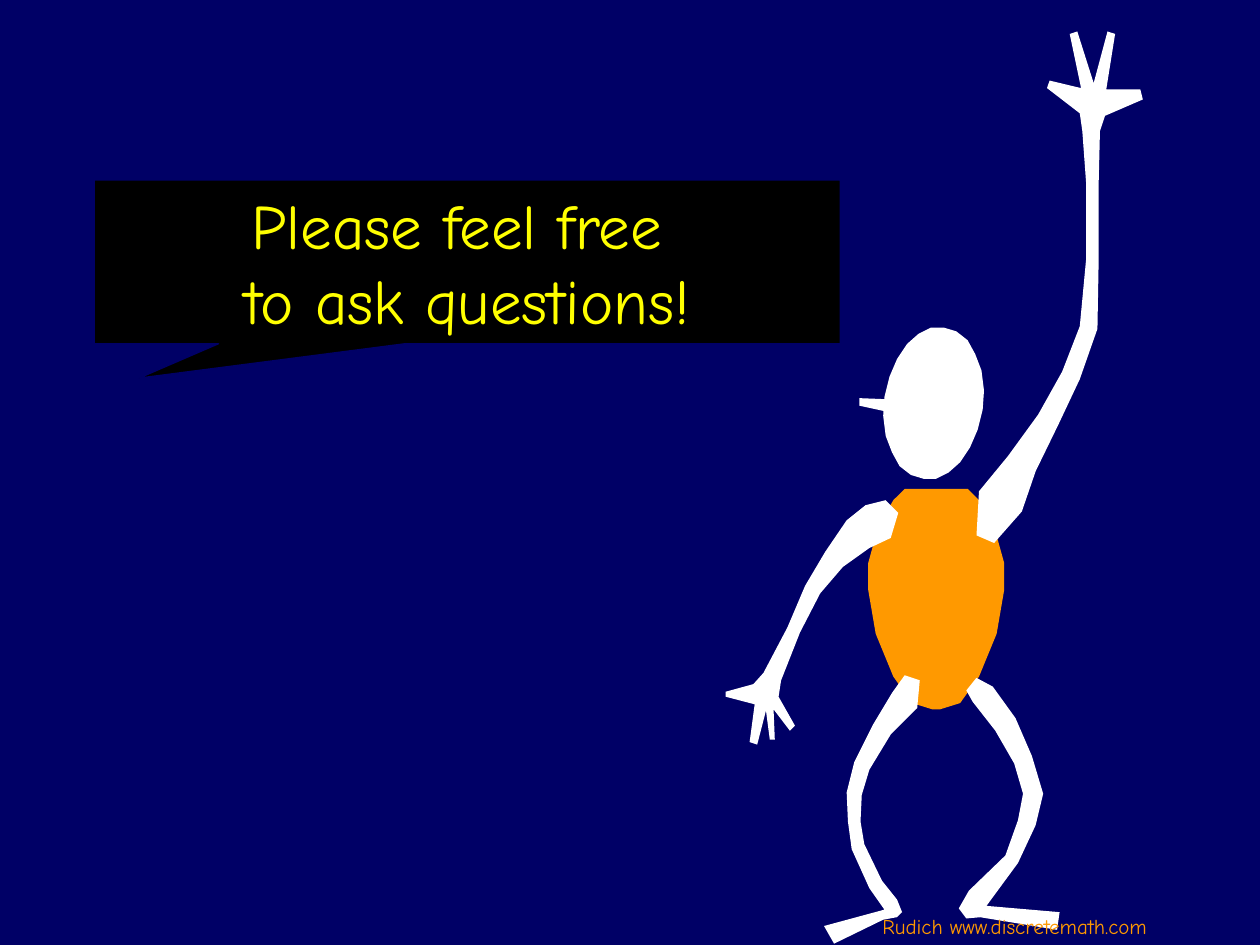
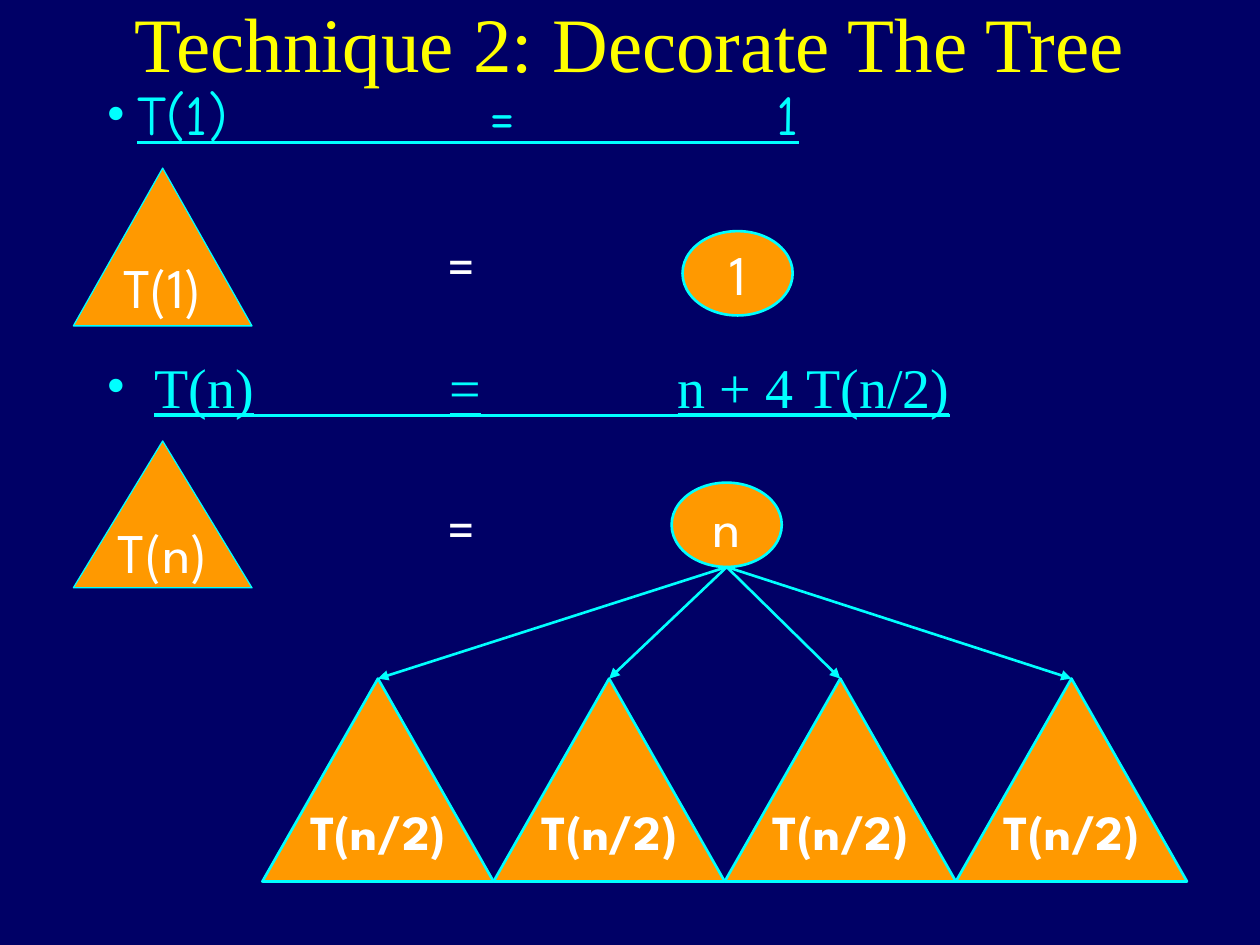
from dataclasses import dataclass
from itertools import pairwise
from math import cos, hypot, radians, sin, tau

from lxml.etree import SubElement
from pptx import Presentation
from pptx.dml.color import RGBColor
from pptx.enum.shapes import MSO_CONNECTOR as Connector, MSO_SHAPE as Shape
from pptx.enum.text import MSO_ANCHOR as Anchor, PP_ALIGN as Align
from pptx.oxml.ns import qn
from pptx.util import Cm, Pt


@dataclass(frozen=True)
class Theme:
    navy: str = "000066"
    black: str = "000000"
    white: str = "FFFFFF"
    yellow: str = "FFFF00"
    cyan: str = "00FFFF"
    orange: str = "FF9900"
    hand: str = "Comic Neue"
    sans: str = "League Spartan"
    serif: str = "Times New Roman"
    title: int = 44
    speech: int = 36
    body: int = 32
    leaf: int = 28
    footer: int = 12
    thin: float = 0.75
    thick: float = 1.5


# Geometry of the figure, on a grid of 1000 by 750 units per slide
def unit(start, end):
    dx, dy = end[0] - start[0], end[1] - start[1]
    length = hypot(dx, dy)
    return dx / length, dy / length


def sides(x, y, width, direction):
    """The two edge points of a strip that runs through x, y."""
    dx, dy = direction
    half = width / 2
    return (x + dy * half, y - dx * half), (x - dy * half, y + dx * half)


def fan(hub, digits, web):
    """Fingers or foot ends spread round a hub, with a web point between two."""
    points = []
    for index, (x, y, width) in enumerate(digits):
        heading = unit(hub, (x, y))
        if index:
            before = unit(hub, digits[index - 1])
            dx, dy = unit((0, 0), (before[0] + heading[0], before[1] + heading[1]))
            points.append((hub[0] + dx * web, hub[1] + dy * web))
        points.extend(sides(x, y, width, heading))
    return points


def limb(joints, hub=None, digits=(), web=0):
    """Outline round a spine of (x, y, width) joints, ending in digits."""
    last = len(joints) - 1
    edges = [sides(*joint, unit(joints[max(i - 1, 0)], joints[min(i + 1, last)]))
             for i, joint in enumerate(joints)]
    outward = [edge[0] for edge in edges]
    back = [edge[1] for edge in reversed(edges)]
    return outward + fan(hub, digits, web) + back


def tilted_oval(x, y, radius_x, radius_y, tilt, corners=24):
    lean = radians(tilt)
    points = []
    for corner in range(corners):
        turn = tau * corner / corners
        across, down = radius_x * cos(turn), radius_y * sin(turn)
        points.append((x + across * cos(lean) - down * sin(lean),
                       y + across * sin(lean) + down * cos(lean)))
    return points


class Painter:
    """Holds the style and the current slide."""

    def __init__(self, deck, theme):
        self.deck, self.theme, self.page = deck, theme, None

    def new_page(self):
        self.page = self.deck.slides.add_slide(self.deck.slide_layouts[6])
        fill = self.page.background.fill
        fill.solid()
        fill.fore_color.rgb = RGBColor.from_string(self.theme.navy)

    def paint(self, shape, color, line=None, width=None):
        shape.shadow.inherit = False
        shape.fill.solid()
        shape.fill.fore_color.rgb = RGBColor.from_string(color)
        if line:
            shape.line.color.rgb = RGBColor.from_string(line)
            shape.line.width = Pt(width)
        else:
            shape.line.fill.background()

    def add_span(self, para, text, font, size, color, bold=False, underline=False):
        span = para.add_run()
        span.text = text
        span.font.name, span.font.size = font, Pt(size)
        span.font.color.rgb = RGBColor.from_string(color)
        span.font.bold, span.font.underline = bold, underline

    def bullet(self, para, char, color, size, stops=()):
        props = para._p.get_or_add_pPr()
        props.set("marL", "0")
        props.set("indent", "0")
        tint = SubElement(props, qn("a:buClr"))
        SubElement(tint, qn("a:srgbClr"), val=color)
        SubElement(props, qn("a:buFont"), typeface=self.theme.serif)
        SubElement(props, qn("a:buChar"), char=char)
        if stops:
            tabs = SubElement(props, qn("a:tabLst"))
            for stop in stops:
                SubElement(tabs, qn("a:tab"), pos=str(Cm(stop)), algn="l")
        para.font.size = Pt(size)

    def text_box(self, left, top, width, height, align=Align.CENTER):
        box = self.page.shapes.add_textbox(Cm(left), Cm(top), Cm(width), Cm(height))
        box.text_frame.word_wrap = True
        para = box.text_frame.paragraphs[0]
        para.alignment = align
        return box.text_frame, para

    def title(self, text):
        frame, para = self.text_box(1.9, 0, 21.6, 1.7)
        frame.vertical_anchor = Anchor.MIDDLE
        self.add_span(para, text, self.theme.serif, self.theme.title, self.theme.yellow)

    def footer(self, text):
        theme = self.theme
        frame, para = self.text_box(15.01, 18.3, 10.39, 0.75)
        frame.margin_left, frame.margin_right = Cm(1.85), Cm(1.45)
        self.bullet(para, " ", theme.orange, theme.footer)
        self.add_span(para, text, theme.hand, theme.footer, theme.orange)

    def equation(self, top, parts, font, stops, rule_end):
        """Bullet line with one part on each tab stop, over a continuous rule."""
        theme, left, inset = self.theme, 1.9, 0.25
        _, para = self.text_box(left, top, 19.68, 2.12, Align.LEFT)
        self.bullet(para, "•", theme.cyan, theme.body, stops)
        for part in parts:
            self.add_span(para, "\t", font, theme.body, theme.cyan)
            self.add_span(para, part, font, theme.body, theme.cyan, underline=True)
        rule_y = top + 1.39
        self.line(left + inset + stops[0], rule_y, rule_end, rule_y)

    def equals(self, top):
        _, para = self.text_box(7.83, top, 2.96, 1.63)
        self.add_span(para, "=", self.theme.sans, self.theme.body, self.theme.white)

    def node(self, kind, left, top, width, height, label, line, size, bold=False):
        theme = self.theme
        node = self.page.shapes.add_shape(kind, Cm(left), Cm(top), Cm(width), Cm(height))
        self.paint(node, theme.orange, theme.cyan, line)
        frame = node.text_frame
        frame.word_wrap, frame.vertical_anchor = False, Anchor.MIDDLE
        para = frame.paragraphs[0]
        para.alignment = Align.CENTER
        self.add_span(para, label, theme.sans, size, theme.white, bold)

    def line(self, x1, y1, x2, y2, arrow=False):
        line = self.page.shapes.add_connector(
            Connector.STRAIGHT, Cm(x1), Cm(y1), Cm(x2), Cm(y2))
        line.line.color.rgb = RGBColor.from_string(self.theme.cyan)
        line.line.width = Pt(self.theme.thick)
        if arrow:
            SubElement(line.line._get_or_add_ln(), qn("a:tailEnd"), type="triangle")
        SubElement(line._element.spPr, qn("a:effectLst"))

    def outline(self, points, color):
        builder = self.page.shapes.build_freeform(*points[0], scale=Cm(25.4) / 1000)
        builder.add_line_segments(points[1:], close=True)
        self.paint(builder.convert_to_shape(), color)

    def callout(self, left, top, width, height, lines):
        theme = self.theme
        box = self.page.shapes.add_shape(
            Shape.RECTANGULAR_CALLOUT, Cm(left), Cm(top), Cm(width), Cm(height))
        box.adjustments[0], box.adjustments[1] = -0.44, 0.71
        self.paint(box, theme.black, theme.navy, theme.thin)
        frame = box.text_frame
        frame.word_wrap, frame.vertical_anchor = True, Anchor.MIDDLE
        for index, line in enumerate(lines):
            para = frame.add_paragraph() if index else frame.paragraphs[0]
            para.alignment = Align.CENTER
            self.add_span(para, line, theme.hand, theme.speech, theme.yellow)


def waving_figure(painter):
    # Torso: widths down a straight spine
    spine_x = 743
    girths = {388: 50, 397: 68, 418: 92, 447: 108, 468: 108,
              503: 96, 537: 68, 558: 38, 563: 6}
    torso = limb([(spine_x, y, girth) for y, girth in girths.items()])

    # Head and nose
    head = tilted_oval(741, 320, 39, 61, 8)
    nose = limb([(706, 322, 11), (682, 319, 7)])

    # Legs: hip, knee, ankle, then toe and heel
    right_leg = limb(
        [(771, 543, 13), (780, 551, 20), (798, 575, 19), (812, 603, 16),
         (820, 630, 16), (815, 653, 14), (803, 682, 12), (776, 713, 18)],
        hub=(776, 718), digits=[(840, 731, 14), (764, 725, 10)], web=10)
    left_leg = limb(
        [(724, 538, 13), (718, 556, 23), (700, 579, 16), (684, 608, 13),
         (678, 630, 12), (678, 652, 10), (681, 672, 11), (695, 702, 12),
         (707, 718, 12)],
        hub=(702, 718), digits=[(714, 726, 6), (658, 742, 16)], web=12)

    # Arms: shoulder, elbow, wrist, then four fingers
    raised_arm = limb(
        [(782, 428, 16), (794, 398, 38), (811, 368, 25), (832, 333, 18),
         (850, 298, 15), (864, 260, 15), (867, 206, 11), (867, 145, 11),
         (866, 104, 14), (867, 91, 20)],
        hub=(868, 80), web=14,
        digits=[(832, 67, 7), (852, 26, 6), (882, 26, 6), (906, 75, 8)])
    lowered_arm = limb(
        [(708, 402, 14), (697, 414, 33), (681, 424, 28), (662, 444, 19),
         (645, 468, 13), (630, 500, 10), (613, 537, 15), (608, 548, 22)],
        hub=(609, 552), web=12,
        digits=[(629, 578, 5), (613, 587, 5), (598, 590, 6), (576, 551, 5)])

    painter.outline(torso, painter.theme.orange)
    for part in (head, nose, right_leg, left_leg, raised_arm, lowered_arm):
        painter.outline(part, painter.theme.white)


def questions_page(painter):
    painter.new_page()
    waving_figure(painter)
    painter.callout(1.9, 3.63, 15.04, 3.3, ["Please feel free ", "to ask questions!"])
    painter.footer("Rudich www.discretemath.com")


def tree_page(painter):
    theme = painter.theme
    triangle, oval = Shape.ISOSCELES_TRIANGLE, Shape.OVAL
    painter.new_page()
    painter.title("Technique 2: Decorate The Tree")

    # Recursive case: root, arrows and four subtrees
    painter.equation(6.98, ["T(n)", "=", "n + 4 T(n/2)"], theme.serif,
                     (0.96, 6.92, 11.51), rule_end=19.15)
    root_x, root_top, root_w, root_h = 14.65, 9.73, 2.22, 1.7
    painter.node(oval, root_x - root_w / 2, root_top, root_w, root_h,
                 "n", theme.thick, theme.body)
    leaf_left, leaf_top, leaf_w, leaf_h = 5.29, 13.68, 4.66, 4.09
    lefts = [leaf_left + i * leaf_w for i in range(4)]
    for left in lefts:
        painter.line(root_x, root_top + root_h, left + leaf_w / 2, leaf_top, arrow=True)
    for left in lefts:
        painter.node(triangle, left, leaf_top, leaf_w, leaf_h,
                     "T(n/2)", theme.thick, theme.leaf, bold=True)
    painter.node(triangle, 1.48, 8.89, 3.6, 2.96, "T(n)", theme.thin, theme.body)
    painter.equals(9.83)

    # Base case
    painter.node(triangle, 1.48, 3.39, 3.6, 3.18, "T(1)", theme.thin, theme.body)
    painter.equation(1.48, ["T(1)", "=", "1"], theme.hand,
                     (0.62, 7.72, 13.5), rule_end=16.1)
    painter.node(oval, 13.76, 4.66, root_w, root_h, "1", theme.thick, theme.body)
    painter.equals(4.52)


def main():
    deck = Presentation()
    deck.slide_width, deck.slide_height = Cm(25.4), Cm(19.05)
    painter = Painter(deck, Theme())
    questions_page(painter)
    tree_page(painter)
    deck.save("out.pptx")


if __name__ == "__main__":
    main()
